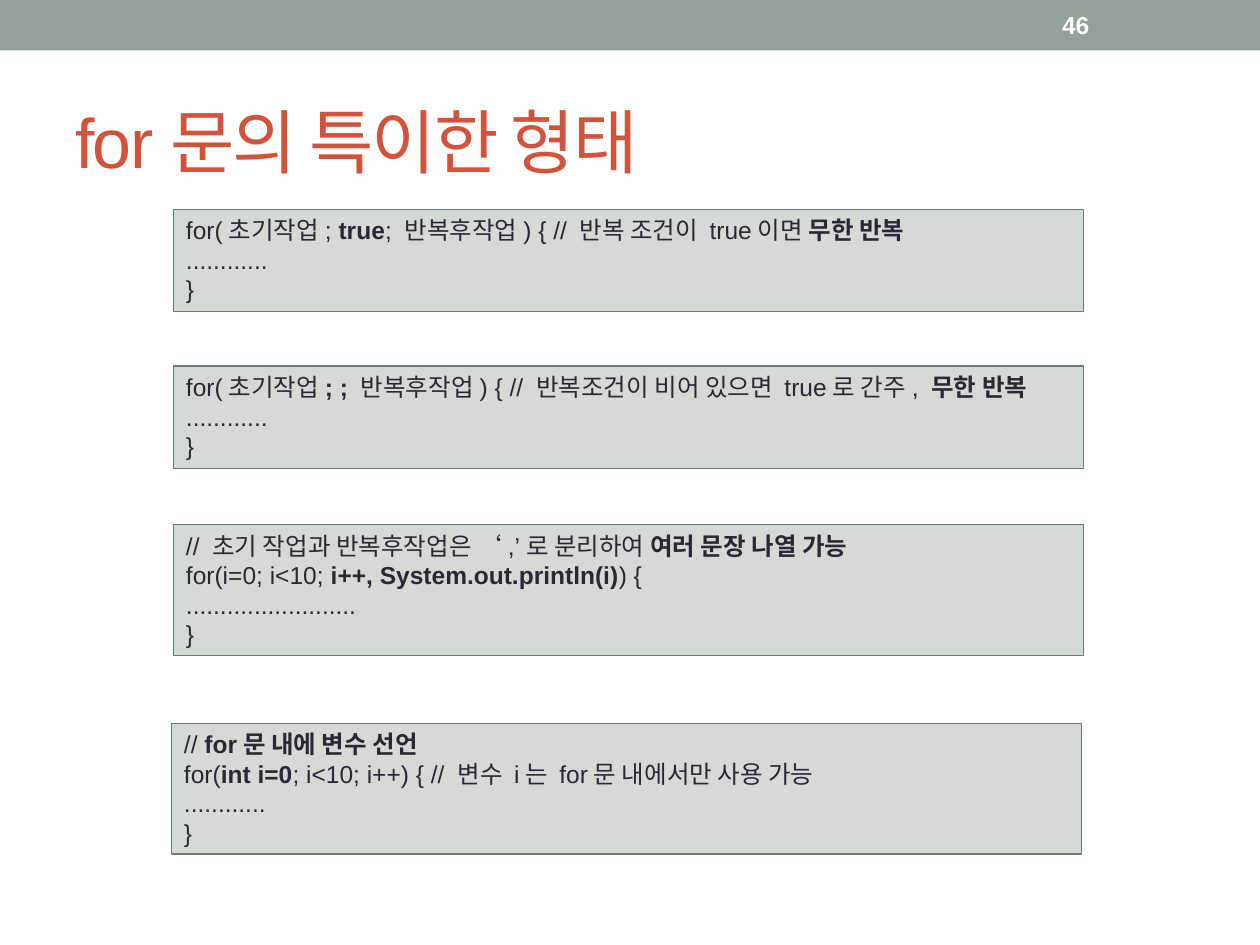
from pptx import Presentation
from pptx.dml.color import RGBColor
from pptx.enum.shapes import MSO_SHAPE
from pptx.enum.text import MSO_ANCHOR, PP_ALIGN
from pptx.util import Cm, Pt

SAGE = RGBColor(0x93, 0xA2, 0x99)
PALE_SAGE = RGBColor(0xD4, 0xDA, 0xD6)
DARK_SAGE = RGBColor(0x6B, 0x7D, 0x72)
BRICK = RGBColor(0xD2, 0x53, 0x3C)
INK = RGBColor(0x29, 0x29, 0x34)
WHITE = RGBColor(0xFF, 0xFF, 0xFF)

FONT = "Arial"
CODE_WIDTH = 18.34
# Left, top and height in cm, then the lines; ** switches bold on and off.
CODE_BOXES = [
    (3.5, 4.22, 2.06, [
        "for(초기작업; **true**; 반복후작업) { // 반복 조건이 true이면 **무한 반복**",
        "............",
        "}",
    ]),
    (3.5, 7.38, 2.06, [
        "for(초기작업**; ; **반복후작업) { // 반복조건이 비어 있으면 true로 간주, **무한 반복**",
        "............",
        "}",
    ]),
    (3.5, 10.58, 2.64, [
        "// 초기 작업과 반복후작업은 ‘,’로 분리하여 **여러 문장 나열 가능**",
        "for(i=0; i<10; **i++, System.out.println(i)**) {",
        ".........................",
        "}",
    ]),
    (3.46, 14.58, 2.64, [
        "// **for문 내에 변수 선언**",
        "for(**int i=0**; i<10; i++) { // 변수 i는 for문 내에서만 사용 가능",
        "............",
        "}",
    ]),
]


def write_text(box, lines, *, size, color, bold=False, spacing=None,
               anchor=MSO_ANCHOR.MIDDLE):
    """Fill a shape with lines, where ** toggles bold within a line."""
    frame = box.text_frame
    frame.word_wrap = True
    frame.vertical_anchor = anchor
    for number, line in enumerate(lines):
        para = frame.add_paragraph() if number else frame.paragraphs[0]
        para.alignment = PP_ALIGN.LEFT
        for index, piece in enumerate(line.split("**")):
            if not piece:
                continue
            span = para.add_run()
            span.text = piece
            span.font.name = FONT
            span.font.size = Pt(size)
            span.font.bold = bold or index % 2 == 1
            span.font.color.rgb = color
            if spacing is not None:
                span._r.get_or_add_rPr().set("spc", str(spacing * 100))


def add_panel(page, left, top, width, height, fill, line=None):
    panel = page.shapes.add_shape(
        MSO_SHAPE.RECTANGLE, Cm(left), Cm(top), Cm(width), Cm(height))
    panel.shadow.inherit = False
    panel.fill.solid()
    panel.fill.fore_color.rgb = fill
    if line is None:
        panel.line.fill.background()
    else:
        panel.line.color.rgb = line
        panel.line.width = Pt(0.75)
    return panel


def add_label(page, text, left, top, width, height, **text_format):
    box = page.shapes.add_textbox(Cm(left), Cm(top), Cm(width), Cm(height))
    write_text(box, [text], **text_format)


def add_code_box(page, left, top, height, lines):
    panel = add_panel(page, left, top, CODE_WIDTH, height, PALE_SAGE, DARK_SAGE)
    write_text(panel, lines, size=14, color=INK, anchor=MSO_ANCHOR.TOP)


def main():
    deck = Presentation()
    deck.slide_width, deck.slide_height = Cm(25.4), Cm(19.05)
    page = deck.slides.add_slide(deck.slide_layouts[6])

    add_panel(page, 0, 0, 25.4, 1.02, SAGE)
    add_label(page, "for문의 특이한 형태", 1.27, 1.47, 22.86, 2.74,
              size=40, color=BRICK, spacing=-1)
    for code_box in CODE_BOXES:
        add_code_box(page, *code_box)
    add_label(page, "46", 21.16, 0.05, 2.97, 0.91,
              size=14, color=WHITE, bold=True)

    deck.save("out.pptx")


if __name__ == "__main__":
    main()
